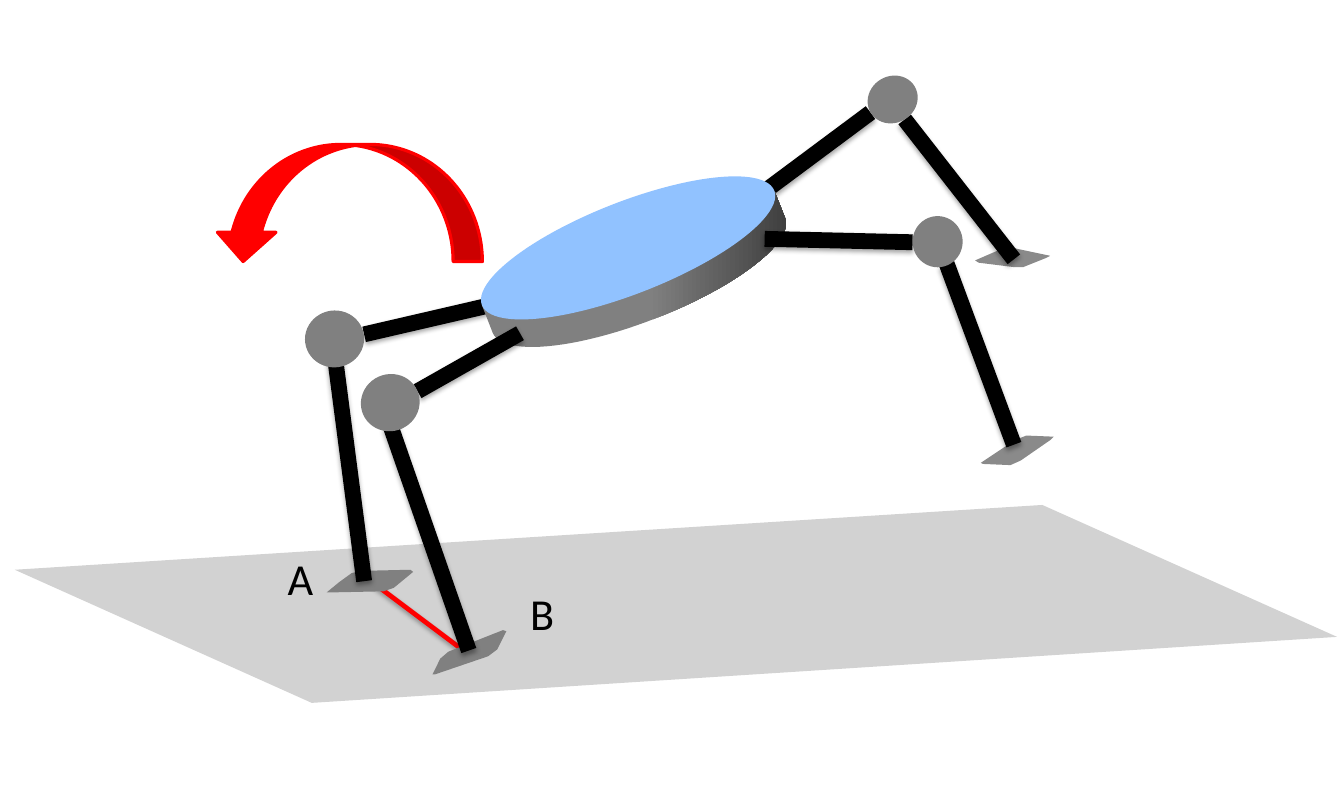
from dataclasses import dataclass
from math import cos, pi, radians, sin

from lxml import etree
from pptx import Presentation
from pptx import util as u
from pptx.dml.color import RGBColor
from pptx.enum import shapes
from pptx.oxml import ns


@dataclass(frozen=True)
class Theme:
    floor: str = "D2D2D2"
    joint: str = "808080"
    far_foot: str = "8A8A8A"
    limb: str = "000000"
    accent: str = "FF0000"
    body_top: str = "91C2FF"
    body_edge: str = "404040"
    font: str = "Calibri"
    label_size: int = 28
    limb_width: int = 10
    support_width: int = 3
    outline_width: int = 2


@dataclass(frozen=True)
class Leg:
    hip: tuple
    thigh_end: tuple
    shin_start: tuple
    ankle: tuple
    knee: tuple
    knee_angle: float
    foot: tuple
    foot_color: str


THEME = Theme()
REAR_LEFT = Leg((4.28, 2.69), (3.2, 2.94), (2.94, 3.11), (3.2, 5.11),
                (2.68, 2.73, 0.52, 0.5), -8.1,
                ((2.87, 5.21), (2.98, 5.12), (3.09, 5.04), (3.17, 5.02), (3.61, 5.01),
                 (3.63, 5.03), (3.46, 5.17), (3.37, 5.2)), THEME.joint)
FRONT_LEFT = Leg((6.75, 1.66), (7.65, 0.99), (7.95, 1.05), (8.91, 2.28),
                 (7.62, 0.67, 0.45, 0.41), -30.7,
                 ((8.57, 2.29), (8.8, 2.19), (8.9, 2.18), (9.23, 2.25), (9.19, 2.27),
                  (8.99, 2.35), (8.92, 2.35), (8.6, 2.31)), THEME.far_foot)
FRONT_RIGHT = Leg((6.72, 2.1), (8.02, 2.13), (8.32, 2.32), (8.91, 3.91),
                  (8.02, 1.9, 0.44, 0.45), 0,
                  ((8.62, 4.07), (8.92, 3.87), (9.02, 3.83), (9.26, 3.84), (9.23, 3.87),
                   (8.97, 4.05), (8.88, 4.09), (8.64, 4.08)), THEME.far_foot)
REAR_RIGHT = Leg((4.57, 2.93), (3.67, 3.44), (3.43, 3.74), (4.12, 5.72),
                 (3.17, 3.29, 0.52, 0.5), -24.3,
                 ((3.8, 5.93), (3.87, 5.79), (3.94, 5.73), (4.42, 5.54), (4.45, 5.55),
                  (4.37, 5.71), (4.29, 5.77), (3.82, 5.93)), THEME.joint)


def rgb(value):
    return RGBColor.from_string(value)


def paint(sp, color, outline=None):
    sp.shadow.inherit = False
    sp.fill.solid()
    sp.fill.fore_color.rgb = rgb(color)
    if outline:
        sp.line.color.rgb = rgb(outline)
        sp.line.width = u.Pt(THEME.outline_width)
    else:
        sp.line.fill.background()
    return sp


def add_preset(s, kind, box, color, rotation=0, outline=None):
    sp = s.shapes.add_shape(kind, *map(u.Inches, box))
    sp.rotation = rotation
    return paint(sp, color, outline)


def add_polygon(s, points, color):
    corners = [(u.Inches(x), u.Inches(y)) for x, y in points]
    builder = s.shapes.build_freeform(*corners[0])
    builder.add_line_segments(corners[1:], close=True)
    return paint(builder.convert_to_shape(), color)


def add_bar(s, start, end, color, width):
    line = s.shapes.add_connector(shapes.MSO_CONNECTOR.STRAIGHT,
                                  *map(u.Inches, start + end))
    line.line.color.rgb = rgb(color)
    line.line.width = u.Pt(width)
    effects = etree.SubElement(line._element.spPr, ns.qn("a:effectLst"))
    shadow = etree.SubElement(effects, ns.qn("a:outerShdw"), blurRad=str(u.Pt(3.1)),
                              dist=str(u.Pt(1.8)), dir="5400000", rotWithShape="0")
    tint = etree.SubElement(shadow, ns.qn("a:srgbClr"), val="000000")
    etree.SubElement(tint, ns.qn("a:alpha"), val="35000")


def add_leg(s, leg):
    group = s.shapes.add_group_shape()
    add_polygon(group, leg.foot, leg.foot_color)
    add_bar(group, leg.shin_start, leg.ankle, THEME.limb, THEME.limb_width)
    add_bar(group, leg.hip, leg.thigh_end, THEME.limb, THEME.limb_width)
    add_preset(group, shapes.MSO_SHAPE.OVAL, leg.knee, THEME.joint, leg.knee_angle)


def add_body(s, center, size, angle, depth):
    cx, cy = center
    w, h = size
    c, d = cos(radians(angle)), sin(radians(angle))

    def rim(t, drop):
        x, y = w / 2 * cos(t), h / 2 * sin(t) + drop
        return cx + x * c - y * d, cy + x * d + y * c

    steps = 48
    lower_rim = [rim(pi * i / steps, depth) for i in range(steps + 1)]
    side = add_polygon(s, [rim(0, 0), *lower_rim, rim(pi, 0)], THEME.joint)
    side.fill.gradient()
    side.fill.gradient_angle = 0
    for stop, color, position in zip(side.fill.gradient_stops,
                                     (THEME.joint, THEME.body_edge), (0.55, 1)):
        stop.color.rgb = rgb(color)
        stop.position = position
    add_preset(s, shapes.MSO_SHAPE.OVAL, (cx - w / 2, cy - h / 2, w, h),
               THEME.body_top, angle)


def add_turn_arrow(s, box):
    arrow = add_preset(s, shapes.MSO_SHAPE.CURVED_DOWN_ARROW, box, THEME.accent,
                       outline=THEME.accent)
    arrow._element.spPr.xfrm.set("flipH", "1")


def add_label(s, content, *, box, size=THEME.label_size, color=THEME.limb):
    tf = s.shapes.add_textbox(*map(u.Inches, box)).text_frame
    tf.word_wrap = False
    r = tf.paragraphs[0].add_run()
    r.text = content
    r.font.name = THEME.font
    r.font.size = u.Pt(size)
    r.font.color.rgb = rgb(color)


def main():
    prs = Presentation()
    prs.slide_width = u.Cm(30)
    prs.slide_height = u.Cm(18)
    s = prs.slides.add_slide(prs.slide_layouts[6])

    add_polygon(s, ((0.13, 5.01), (9.16, 4.44), (11.75, 5.6), (2.74, 6.18)), THEME.floor)
    add_bar(s, (3.26, 5.11), (4.1, 5.74), THEME.accent, THEME.support_width)
    for leg in (REAR_LEFT, FRONT_LEFT):
        add_leg(s, leg)
    add_body(s, center=(5.52, 2.18), size=(2.76, 0.81), angle=-21.4, depth=0.26)
    for leg in (FRONT_RIGHT, REAR_RIGHT):
        add_leg(s, leg)
    add_turn_arrow(s, (1.88, 1.27, 2.36, 1.03))
    add_label(s, "A", box=(2.43, 4.8, 0.43, 0.57))
    add_label(s, "B", box=(4.56, 5.11, 0.42, 0.57))

    prs.save("out.pptx")


if __name__ == "__main__":
    main()
